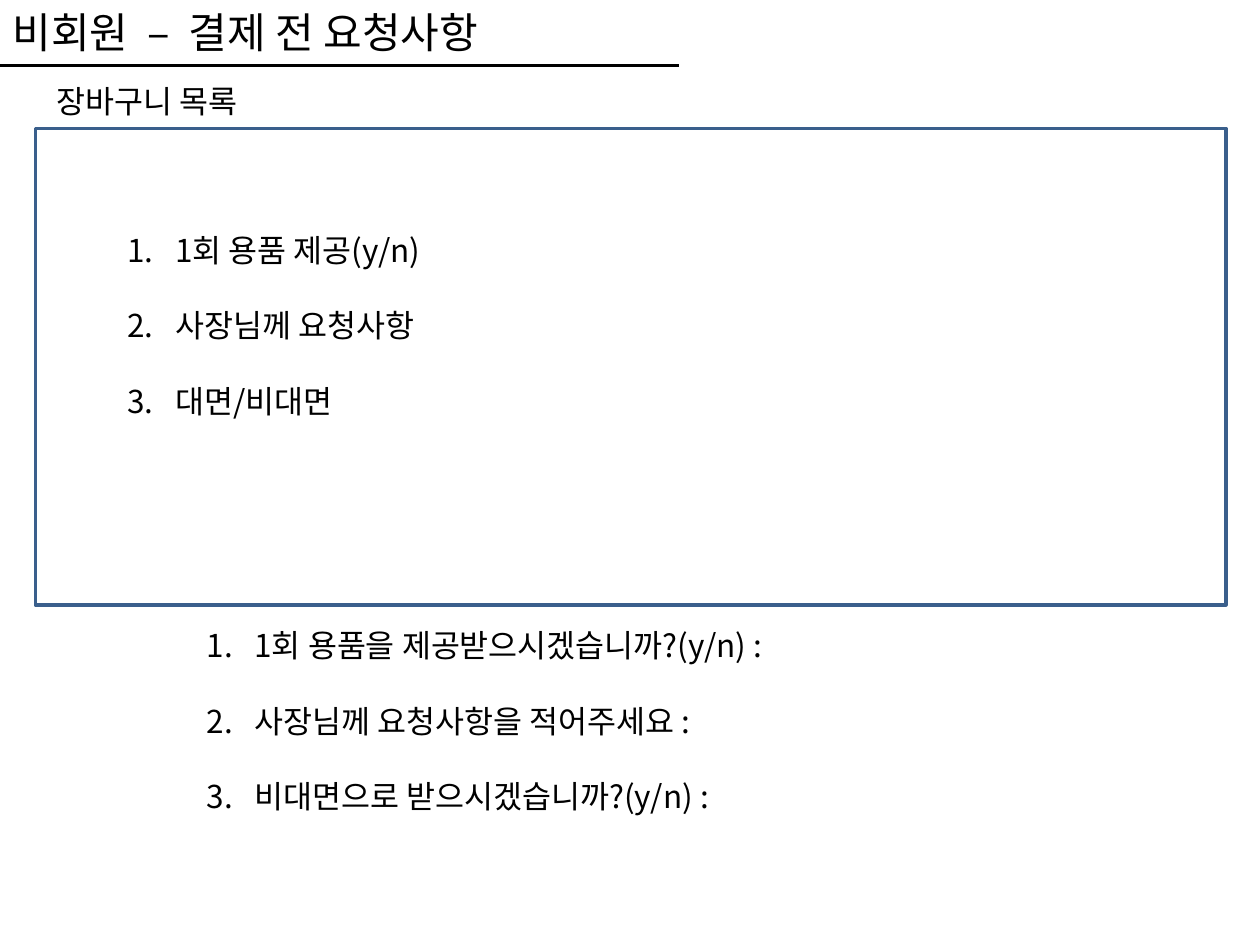
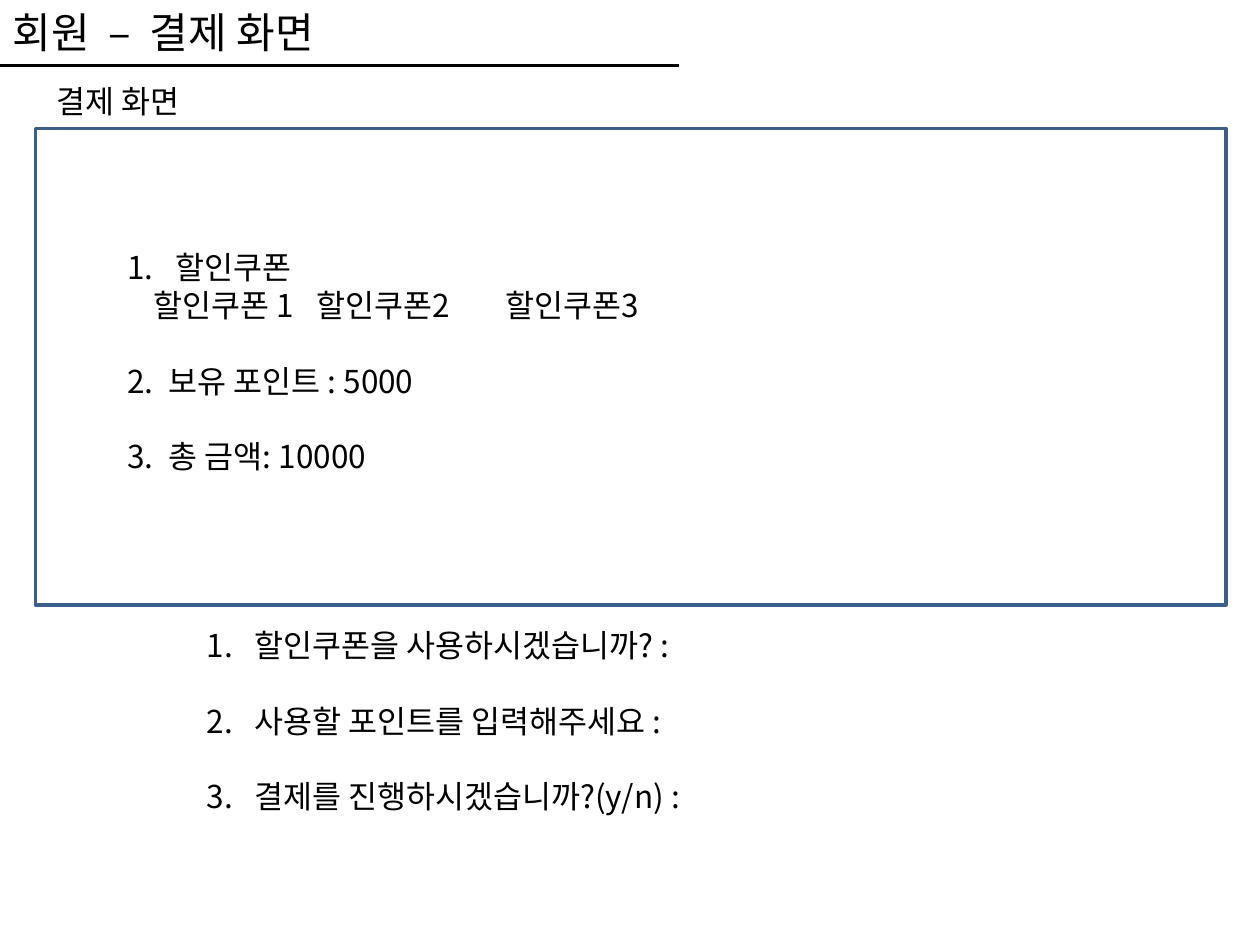
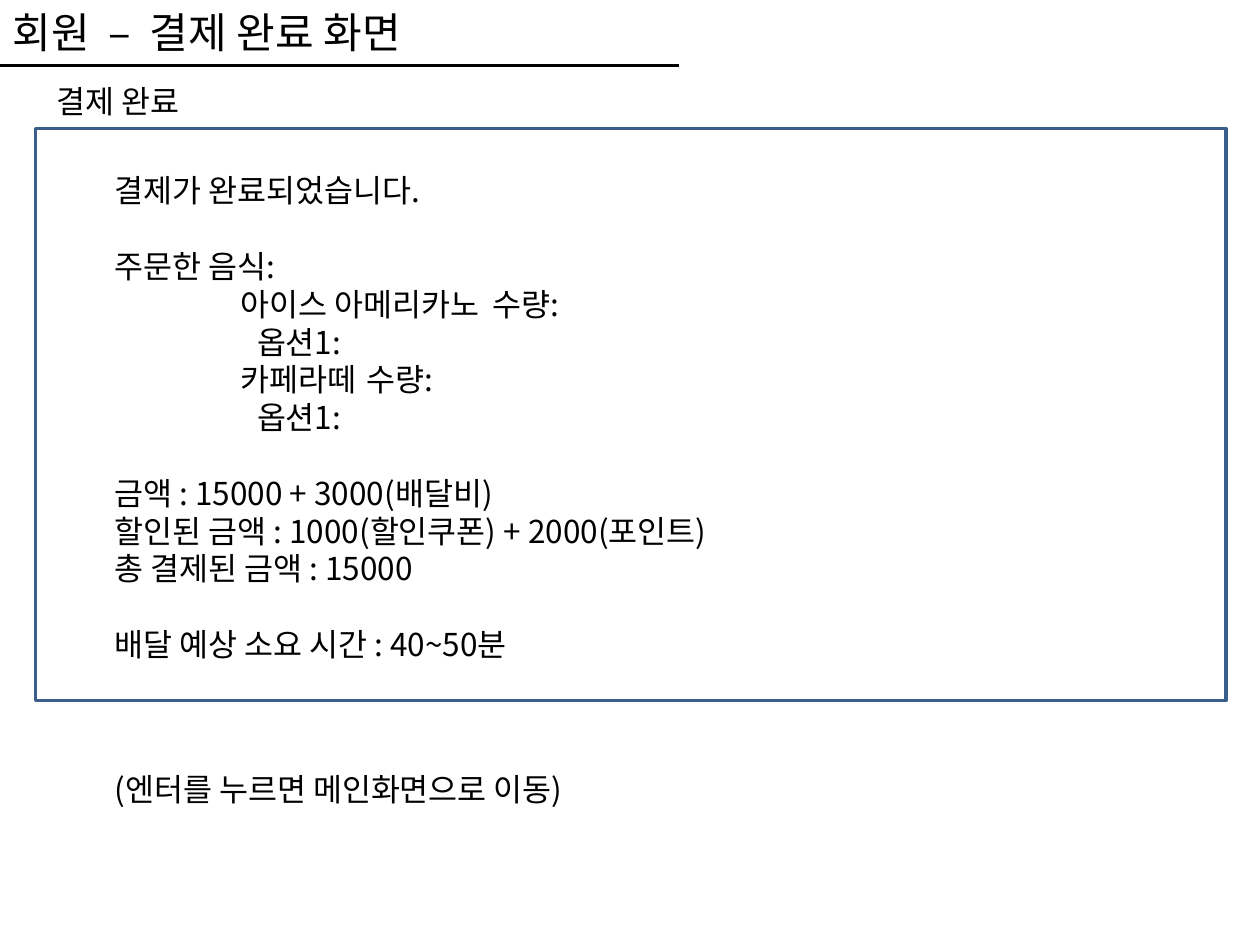
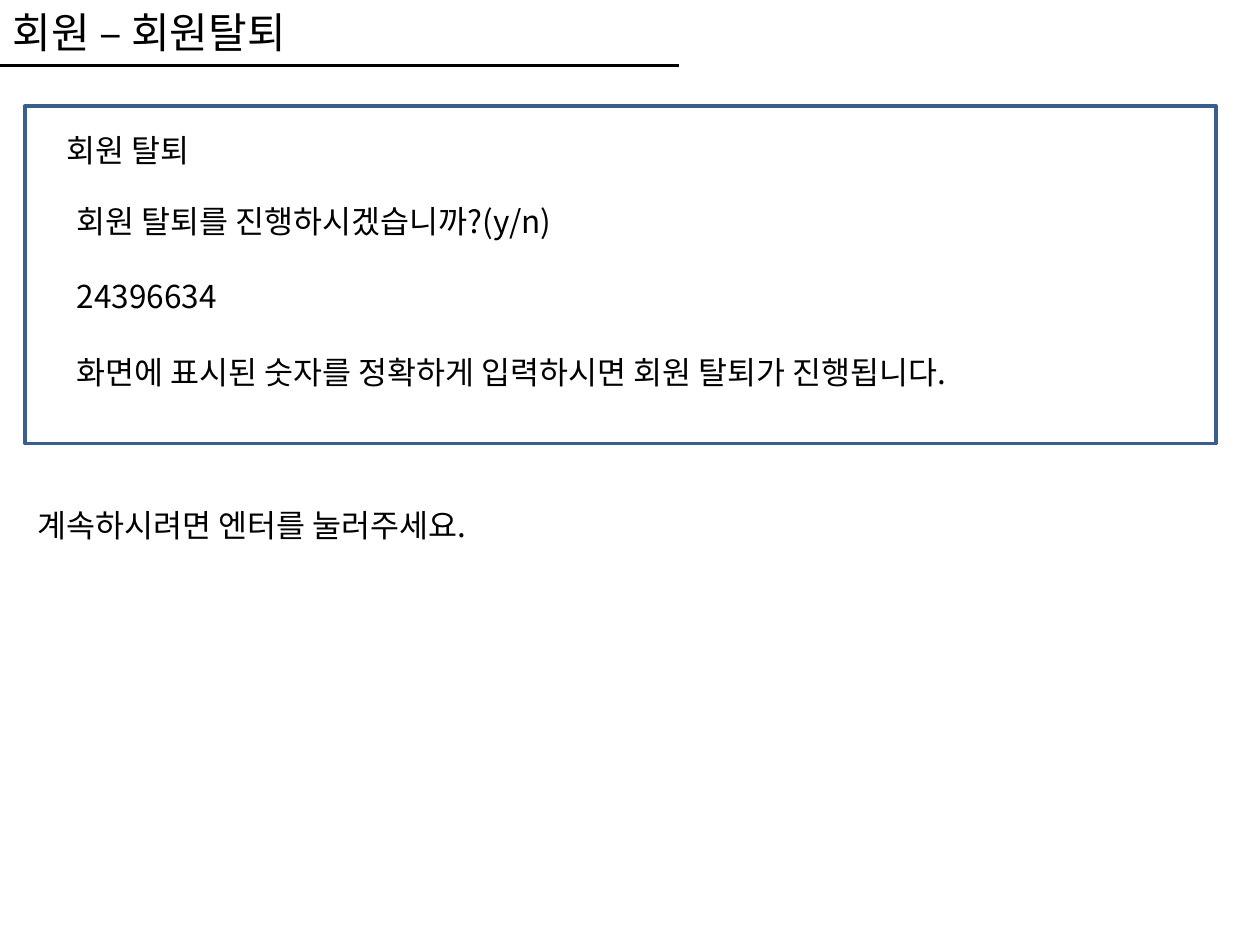
import pptx
import pptx.dml.color
import pptx.enum.shapes
import pptx.enum.text
import pptx.oxml
import pptx.oxml.ns
import pptx.util

Inches = pptx.util.Inches
Pt = pptx.util.Pt
qn = pptx.oxml.ns.qn

BLACK = pptx.dml.color.RGBColor(0x00, 0x00, 0x00)
FRAME_BLUE = pptx.dml.color.RGBColor(0x3A, 0x5F, 0x8C)
FONT = "Noto Sans CJK KR"
TITLE_SIZE = 24
BODY_SIZE = 18
LINE_RATIO = 1.2
HANGING = 0.38
FRAME_WIDTH = 9.45

TITLE_ONE_LIST = 1
TITLE_TWO_LISTS = 3


def set_values(target, values):
    for name, value in values.items():
        setattr(target, name, value)


def add_xml_child(parent, tag, **values):
    child = parent.makeelement(qn(tag), values)
    parent.append(child)
    return child


def line(text, gap=0, left=0, first=0, number=None, tabs=()):
    return {"text": text, "gap": gap, "left": left, "first": first,
            "number": number, "tabs": tabs}


def numbered(text, number, gap=1, hanging=HANGING):
    return line(text, gap, hanging, -hanging, number)


def numbered_list(texts):
    return [numbered(text, number, gap=int(number > 1))
            for number, text in enumerate(texts, 1)]


def format_para(para, item, size):
    set_values(para, {
        "alignment": pptx.enum.text.PP_ALIGN.LEFT,
        "line_spacing": Pt(size * LINE_RATIO),
        "space_before": Pt(size * LINE_RATIO * item["gap"]),
        "space_after": Pt(0),
    })
    properties = para._p.get_or_add_pPr()
    properties.set("marL", str(Inches(item["left"])))
    properties.set("indent", str(Inches(item["first"])))
    if item["number"]:
        add_xml_child(properties, "a:buFont", typeface="+mj-lt")
        add_xml_child(properties, "a:buAutoNum", type="arabicPeriod",
                      startAt=str(item["number"]))
    else:
        add_xml_child(properties, "a:buNone")
    if item["tabs"]:
        stops = add_xml_child(properties, "a:tabLst")
        for stop in item["tabs"]:
            add_xml_child(stops, "a:tab", pos=str(Inches(stop)), algn="l")


def write_lines(box, items, size=BODY_SIZE, wrap=True):
    frame = box.text_frame
    set_values(frame, {
        "word_wrap": wrap,
        "auto_size": pptx.enum.text.MSO_AUTO_SIZE.NONE,
        "vertical_anchor": pptx.enum.text.MSO_ANCHOR.TOP,
    })
    for index, item in enumerate(items):
        para = frame.add_paragraph() if index else frame.paragraphs[0]
        format_para(para, item, size)
        span = para.add_run()
        span.text = item["text"]
        set_values(span.font, {"name": FONT, "size": Pt(size)})
        span.font.color.rgb = BLACK
        add_xml_child(span._r.get_or_add_rPr(), "a:ea", typeface=FONT)


def fill_placeholder(page, index, place, items, size=BODY_SIZE):
    box = page.placeholders[index]
    names = ("left", "top", "width", "height")
    set_values(box, dict(zip(names, map(Inches, place))))
    write_lines(box, items, size)


def add_label(page, place, text, wrap=True):
    box = page.shapes.add_textbox(*map(Inches, place))
    write_lines(box, [line(text)], wrap=wrap)


def add_frame(page, left, top, height):
    frame = page.shapes.add_shape(
        pptx.enum.shapes.MSO_SHAPE.RECTANGLE,
        Inches(left), Inches(top), Inches(FRAME_WIDTH), Inches(height))
    frame.shadow.inherit = False
    frame.fill.background()
    frame.line.color.rgb = FRAME_BLUE
    frame.line.width = Pt(2)


def add_page(deck, layout, title, title_width=7.36):
    page = deck.slides.add_slide(deck.slide_layouts[layout])
    rule = page.shapes.add_connector(
        pptx.enum.shapes.MSO_CONNECTOR.STRAIGHT,
        Inches(0), Inches(0.52), Inches(5.39), Inches(0.52))
    rule.line.color.rgb = BLACK
    rule.line.width = Pt(1.75)
    add_xml_child(rule._element.spPr, "a:effectLst")
    fill_placeholder(page, 0, (0, 0, title_width, 0.5), [line(title)], TITLE_SIZE)
    return page


def add_screen_page(deck, layout, title, caption, frame_height=3.78):
    page = add_page(deck, layout, title)
    add_label(page, (0.35, 0.6, 2.83, 0.4), caption)
    add_frame(page, 0.28, 1.02, frame_height)
    return page


def add_question_page(deck, title, caption, top, content, questions):
    page = add_screen_page(deck, TITLE_TWO_LISTS, title, caption)
    fill_placeholder(page, 1, (0.91, top, 5.75, 1.92), content)
    fill_placeholder(page, 2, (1.54, 4.92, 6.46, 2.52), numbered_list(questions))


def add_request_page(deck):
    add_question_page(
        deck, "비회원  –  결제 전 요청사항", "장바구니 목록", 1.78,
        numbered_list(["1회 용품 제공(y/n)", "사장님께 요청사항", "대면/비대면"]),
        ["1회 용품을 제공받으시겠습니까?(y/n) :",
         "사장님께 요청사항을 적어주세요 :",
         "비대면으로 받으시겠습니까?(y/n) :"])


def add_payment_page(deck):
    add_question_page(
        deck, "회원  –  결제 화면", "결제 화면", 1.92,
        [numbered("할인쿠폰", 1, gap=0),
         line("할인쿠폰 1\t할인쿠폰2\t할인쿠폰3", first=0.21, tabs=(2, 4)),
         numbered("보유 포인트 : 5000", 2, hanging=0.33),
         numbered("총 금액: 10000", 3, hanging=0.33)],
        ["할인쿠폰을 사용하시겠습니까? :",
         "사용할 포인트를 입력해주세요 :",
         "결제를 진행하시겠습니까?(y/n) :"])


def add_receipt_page(deck):
    page = add_screen_page(deck, TITLE_ONE_LIST, "회원  –  결제 완료 화면",
                           "결제 완료", frame_height=4.54)
    orders = []
    for name in ("아이스 아메리카노", "카페라떼"):
        orders += [line(name + "\t수량:", first=1, tabs=(3,)),
                   line("옵션1:", first=1.13)]
    fill_placeholder(page, 1, (0.81, 1.31, 5.75, 4.04), [
        line("결제가 완료되었습니다."),
        line("주문한 음식:", gap=1),
        *orders,
        line("금액 : 15000 + 3000(배달비)", gap=1),
        line("할인된 금액 : 1000(할인쿠폰) + 2000(포인트)"),
        line("총 결제된 금액 : 15000"),
        line("배달 예상 소요 시간 : 40~50분", gap=1),
    ])
    add_label(page, (0.81, 6.06, 6.46, 0.4), "(엔터를 누르면 메인화면으로 이동)")


def add_withdrawal_page(deck):
    page = add_page(deck, TITLE_ONE_LIST, "회원 – 회원탈퇴", title_width=2.83)
    add_frame(page, 0.2, 0.84, 2.68)
    add_label(page, (0.43, 0.99, 3.78, 0.4), "회원 탈퇴")
    fill_placeholder(page, 1, (0.51, 1.55, 9.14, 1.62), [
        line("회원 탈퇴를 진행하시겠습니까?(y/n)"),
        line("24396634", gap=1),
        line("화면에 표시된 숫자를 정확하게 입력하시면 회원 탈퇴가 진행됩니다.", gap=1),
    ])
    add_label(page, (0.2, 3.97, 3.97, 0.4), "계속하시려면 엔터를 눌러주세요.", wrap=False)


def main():
    deck = pptx.Presentation()
    set_values(deck, {"slide_width": Inches(10), "slide_height": Inches(7.5)})
    add_request_page(deck)
    add_payment_page(deck)
    add_receipt_page(deck)
    add_withdrawal_page(deck)
    deck.save("out.pptx")


main()
